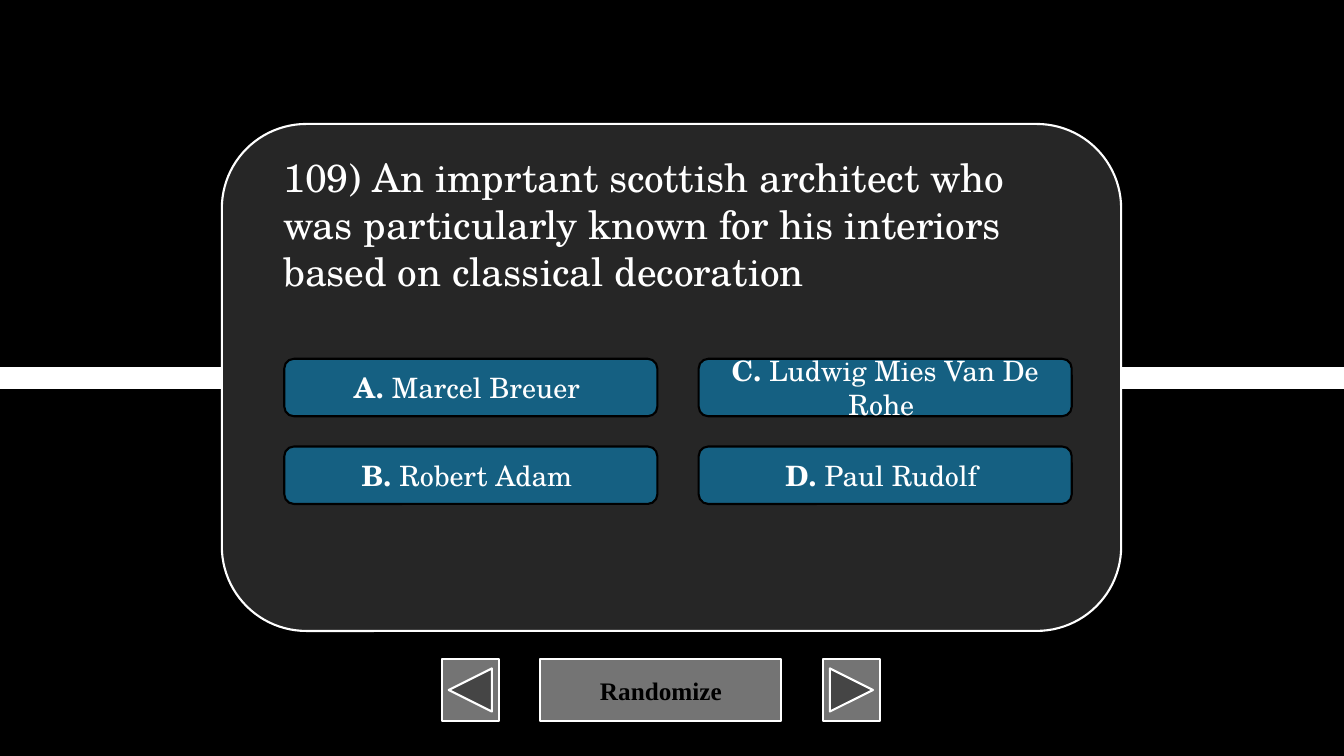
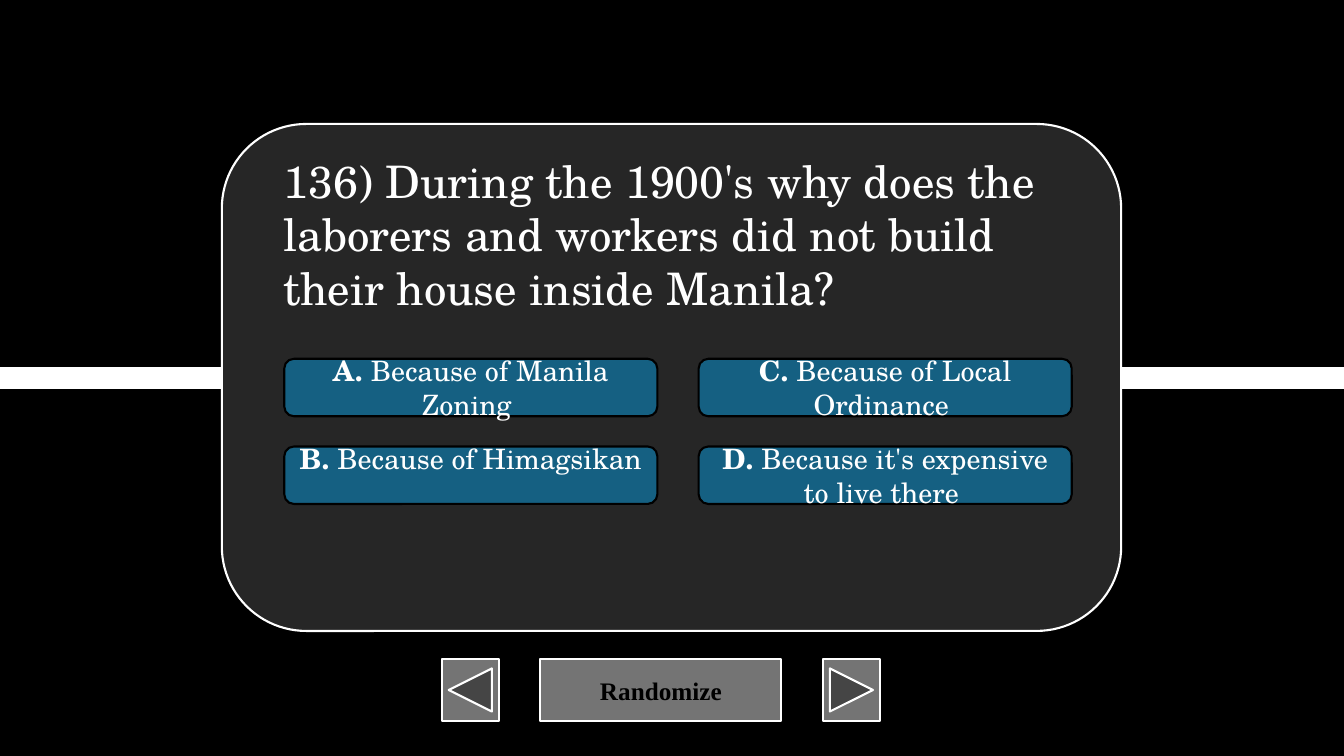
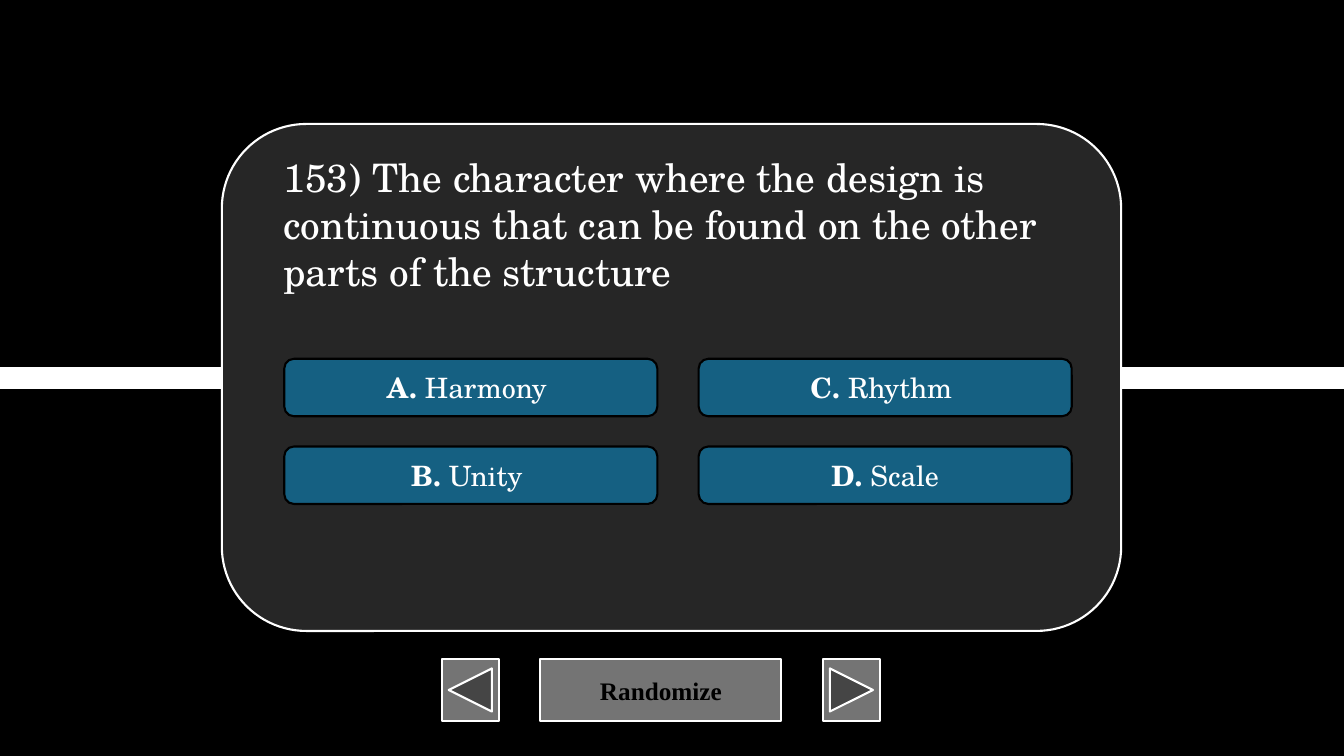
from lxml import etree
from pptx import Presentation
from pptx.dml.color import RGBColor
from pptx.enum.shapes import MSO_CONNECTOR, MSO_SHAPE
from pptx.enum.text import MSO_ANCHOR, MSO_AUTO_SIZE, PP_ALIGN
from pptx.oxml.ns import qn
from pptx.util import Inches, Pt

STRAIGHT = MSO_CONNECTOR.STRAIGHT
ROUNDED = MSO_SHAPE.ROUNDED_RECTANGLE
BLANK_BUTTON = MSO_SHAPE.ACTION_BUTTON_CUSTOM
BACK_BUTTON = MSO_SHAPE.ACTION_BUTTON_BACK_OR_PREVIOUS
NEXT_BUTTON = MSO_SHAPE.ACTION_BUTTON_FORWARD_OR_NEXT
TOP, MIDDLE = MSO_ANCHOR.TOP, MSO_ANCHOR.MIDDLE
LEFT, CENTER = PP_ALIGN.LEFT, PP_ALIGN.CENTER
GROW = MSO_AUTO_SIZE.SHAPE_TO_FIT_TEXT

SLIDE_WIDTH, SLIDE_HEIGHT = 13.33, 7.5
TITLE_ONLY = 5
BLACK, WHITE = "000000", "FFFFFF"
CARD_FILL, ANSWER_FILL, BUTTON_FILL = "262626", "156082", "747474"
QUIZ_FONT, BUTTON_FONT = "TeX Gyre Schola", "Times New Roman"

CARD = (2.2, 1.23, 8.92, 5.03)
QUESTION_LEFT, QUESTION_TOP, QUESTION_WIDTH, QUESTION_HEIGHT = 2.71, 1.47, 7.92, 1.51
ANSWER_LEFT, ANSWER_TOP, ANSWER_WIDTH, ANSWER_HEIGHT = 2.82, 3.56, 3.7, 0.57
ANSWER_COLUMN, ANSWER_ROW = 4.11, 0.87
ANSWER_ROWS = 2
BUTTON_LEFT, BUTTON_TOP, BUTTON_HEIGHT, BUTTON_GAP = 4.38, 6.54, 0.61, 0.41
BUTTONS = [(BACK_BUTTON, 0.57, ""), (BLANK_BUTTON, 2.39, "Randomize"), (NEXT_BUTTON, 0.57, "")]

QUESTIONS = [
    ("109) An imprtant scottish architect who was particularly known for his interiors "
     "based on classical decoration", 28,
     ["Marcel Breuer ", "Robert Adam ", "Ludwig Mies Van De Rohe ", "Paul Rudolf "]),
    ("136) During the 1900's why does the laborers and workers did not build their house "
     "inside Manila?", 32,
     ["Because of Manila Zoning ", "Because of Himagsikan  ",
      "Because of Local Ordinance ", "Because it's expensive to live there "]),
    ("153) The character where the design is continuous that can be found on the other "
     "parts of the structure", 28,
     ["Harmony ", "Unity ", "Rhythm ", "Scale"]),
]


def color(value):
    """Return the colour for a hex string."""
    return RGBColor.from_string(value)


def format_run(run, font_name, size, value, bold=False):
    """Set the font, size, colour and weight of a run."""
    run.font.name = font_name
    run.font.size = Pt(size)
    run.font.bold = bold
    run.font.color.rgb = color(value)


def add_box(slide, kind, box, fill, line):
    """Add a filled and outlined preset shape with centred text."""
    shape = slide.shapes.add_shape(kind, *map(Inches, box))
    shape.shadow.inherit = False
    shape.fill.solid()
    shape.fill.fore_color.rgb = color(fill)
    shape.line.color.rgb = color(line)
    shape.line.width = Pt(1.5)
    shape.text_frame.vertical_anchor = MIDDLE
    shape.text_frame.paragraphs[0].alignment = CENTER
    return shape


def add_band(slide):
    """Add the white line across the middle of the slide."""
    middle = Inches(SLIDE_HEIGHT / 2)
    band = slide.shapes.add_connector(STRAIGHT, 0, middle, Inches(SLIDE_WIDTH), middle)
    band.line.color.rgb = color(WHITE)
    band.line.width = Pt(16)
    etree.SubElement(band.element.spPr, qn("a:effectLst"))


def add_buttons(slide):
    """Add the row of action buttons under the card."""
    left = BUTTON_LEFT
    for kind, width, label in BUTTONS:
        button = add_box(slide, kind, (left, BUTTON_TOP, width, BUTTON_HEIGHT), BUTTON_FILL, WHITE)
        if label:
            paragraph = button.text_frame.paragraphs[0]
            paragraph.text = label
            format_run(paragraph.runs[0], BUTTON_FONT, 18, BLACK, bold=True)
        left += width + BUTTON_GAP


def add_answers(slide, answers):
    """Add the lettered answers, filling the grid column by column."""
    for index, (letter, answer) in enumerate(zip("ABCD", answers)):
        column, row = divmod(index, ANSWER_ROWS)
        box = (ANSWER_LEFT + column * ANSWER_COLUMN, ANSWER_TOP + row * ANSWER_ROW,
               ANSWER_WIDTH, ANSWER_HEIGHT)
        paragraph = add_box(slide, ROUNDED, box, ANSWER_FILL, BLACK).text_frame.paragraphs[0]
        paragraph.text = f"{letter}. "
        paragraph.add_run().text = answer
        for run, bold in zip(paragraph.runs, (True, False)):
            format_run(run, QUIZ_FONT, 20, WHITE, bold)


def set_question(slide, card, question, size):
    """Write the question in the title placeholder and bring it above the card."""
    title = slide.shapes.title
    title.left, title.top = Inches(QUESTION_LEFT), Inches(QUESTION_TOP)
    title.width, title.height = Inches(QUESTION_WIDTH), Inches(QUESTION_HEIGHT)
    text_frame = title.text_frame
    text_frame.text = question
    text_frame.word_wrap = True
    text_frame.auto_size = GROW
    text_frame.vertical_anchor = TOP
    paragraph = text_frame.paragraphs[0]
    paragraph.alignment = LEFT
    format_run(paragraph.runs[0], QUIZ_FONT, size, WHITE)
    card.element.addnext(title.element)


def add_question_slide(presentation, question, size, answers):
    """Add one quiz slide."""
    slide = presentation.slides.add_slide(presentation.slide_layouts[TITLE_ONLY])
    add_band(slide)
    add_buttons(slide)
    card = add_box(slide, ROUNDED, CARD, CARD_FILL, WHITE)
    set_question(slide, card, question, size)
    add_answers(slide, answers)


def main():
    """Build and save the quiz."""
    presentation = Presentation()
    presentation.slide_width = Inches(SLIDE_WIDTH)
    presentation.slide_height = Inches(SLIDE_HEIGHT)
    background = presentation.slide_master.background.fill
    background.solid()
    background.fore_color.rgb = color(BLACK)
    for question, size, answers in QUESTIONS:
        add_question_slide(presentation, question, size, answers)
    presentation.save("out.pptx")


if __name__ == "__main__":
    main()
